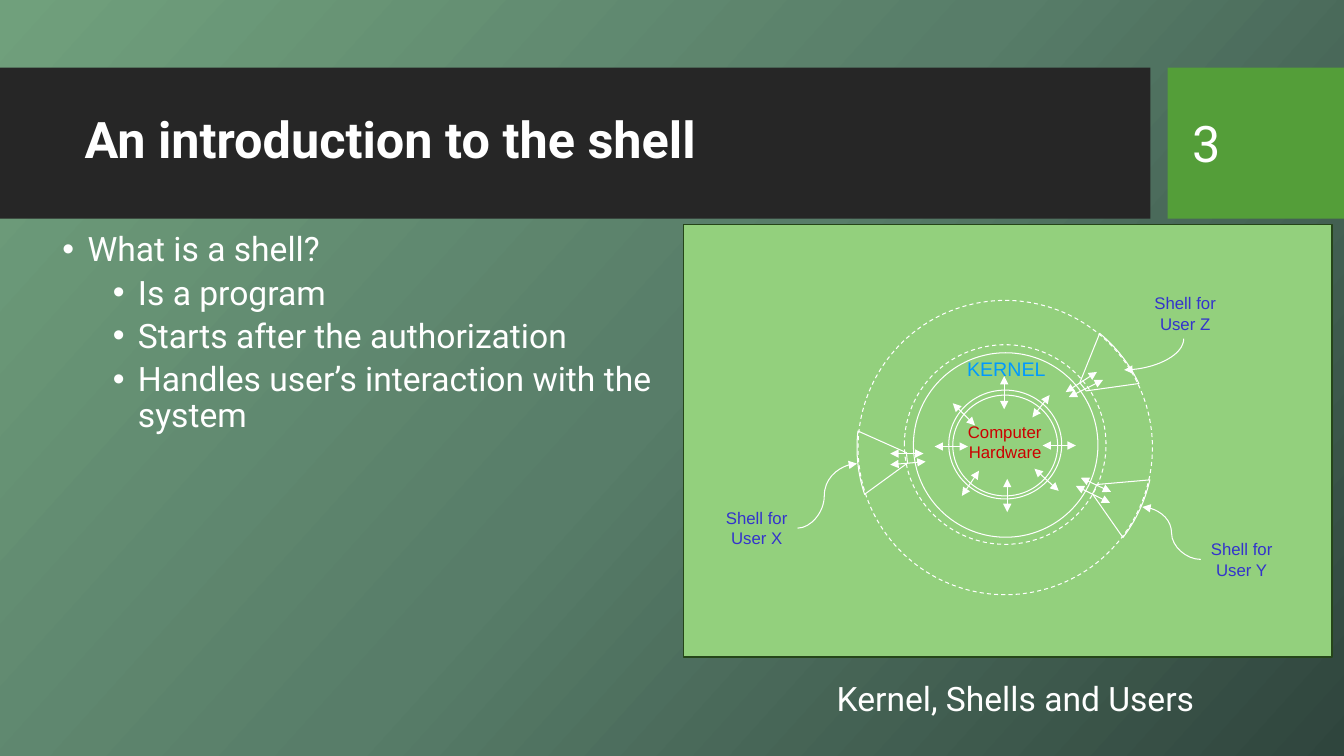
from copy import deepcopy
from dataclasses import dataclass
from math import cos, radians, sin

from lxml.etree import SubElement
from pptx import Presentation
from pptx.dml.color import RGBColor
from pptx.enum.dml import MSO_LINE
from pptx.enum.shapes import MSO_CONNECTOR as Link, MSO_SHAPE as Preset
from pptx.enum.text import MSO_ANCHOR as Anchor, MSO_AUTO_SIZE as AutoSize, PP_ALIGN as Align
from pptx.oxml.ns import qn
from pptx.util import Pt

PX = 9144  # EMU per px, 100 px to the inch


@dataclass(frozen=True)
class Theme:
    backdrop: tuple = ((0, "70A07C"), (0.5, "587D69"), (1, "2F453D"))
    backdrop_angle: int = 42
    band: str = "262626"
    accent: str = "549E39"
    panel: str = "93D07D"
    panel_edge: str = "254519"
    light: str = "FFFFFF"
    hardware: str = "CC0000"
    kernel: str = "0099FF"
    user: str = "3333CC"
    text_font: str = "Roboto"
    diagram_font: str = "Arial"
    title_size: int = 36
    body_size: int = 24
    kernel_size: int = 14
    label_size: int = 12
    thin: float = 0.75


THEME = Theme()
CENTRE = (997, 444)
SHELL_INNER, SHELL_OUTER = 98, 147

RINGS = (
    ((945, 392, 104, 100), False),
    ((941, 387, 112, 108), False),
    ((906, 350, 183, 183), False),
    ((897, 342, 200, 198), True),
    ((851, 298, 292, 292), True),
)
SHELL_ANGLES = (174, -38, 25)
EXCHANGES = (
    # kernel and hardware
    (971, 467, 954, 492), (1041, 392, 1024, 414),
    (945, 400, 967, 422), (1026, 465, 1050, 487),
    (996, 373, 996, 406), (927, 443, 960, 443),
    (1067, 442, 1034, 442), (999, 475, 999, 508),
    # shells and kernel
    (1094, 377, 1060, 394), (1102, 488, 1072, 474),
    (1088, 369, 1057, 389), (1101, 499, 1067, 482),
    (916, 450, 883, 450), (918, 458, 883, 461),
)
USERS = (("User Z", 1135, 286), ("User Y", 1191, 530), ("User X", 710, 499))
BULLETS = (
    ("What is a shell?", 25, 0),
    ("Is a program", 75, 5),
    ("Starts after the authorization", 75, 5),
    ("Handles user’s interaction with the system", 75, 5),
)


def emu(*lengths):
    return [round(length * PX) for length in lengths]


def rgb(colour):
    return RGBColor.from_string(colour)


def paint_backdrop(slide):
    fill = slide.background.fill
    fill.gradient()
    fill.gradient_angle = 360 - THEME.backdrop_angle
    stops = slide.element.find(".//" + qn("a:gsLst"))
    stops.insert(1, deepcopy(stops[0]))
    for stop, (position, colour) in zip(fill.gradient_stops, THEME.backdrop):
        stop.position = position
        stop.color.rgb = rgb(colour)


def outline(shape, colour=THEME.light, width=THEME.thin):
    shape.line.color.rgb = rgb(colour)
    shape.line.width = Pt(width)


def add_block(slide, box, colour):
    block = slide.shapes.add_shape(Preset.RECTANGLE, *emu(*box))
    block.shadow.inherit = False
    block.fill.solid()
    block.fill.fore_color.rgb = rgb(colour)
    block.line.fill.background()
    return block


def add_ring(slide, box, dashed):
    ring = slide.shapes.add_shape(Preset.OVAL, *emu(*box))
    ring.shadow.inherit = False
    ring.fill.background()
    outline(ring)
    if dashed:
        ring.line.dash_style = MSO_LINE.DASH


def add_shell(slide, angle):
    """Draw a ring sector around the kernel, centred on an angle in degrees."""
    def arc(radius, spread):
        turns = [radians(angle + spread * step / 8) for step in range(-8, 9)]
        return [emu(CENTRE[0] + radius * cos(turn), CENTRE[1] + radius * sin(turn))
                for turn in turns]

    start, *rest = arc(SHELL_OUTER, 12.4) + arc(SHELL_INNER, 3)[::-1]
    builder = slide.shapes.build_freeform(*start)
    builder.add_line_segments(rest, close=True)
    shell = builder.convert_to_shape()
    shell.shadow.inherit = False
    shell.fill.background()
    outline(shell)


def add_arrow(slide, ends, kind=Link.STRAIGHT, both=False):
    arrow = slide.shapes.add_connector(kind, *emu(*ends))
    outline(arrow)
    properties = arrow.element.spPr
    edge = properties.find(qn("a:ln"))
    for tip in ("a:headEnd", "a:tailEnd") if both else ("a:tailEnd",):
        SubElement(edge, qn(tip), type="triangle")
    SubElement(properties, qn("a:effectLst"))
    return arrow


def bend(arrow, share):
    """Move the middle of a curve to a share, in percent, of its width."""
    geometry = arrow.element.spPr.find(qn("a:prstGeom"))
    SubElement(geometry.find(qn("a:avLst")), qn("a:gd"),
               name="adj1", fmla=f"val {share * 1000}")


def add_run(paragraph, text, size, colour, font, bold=False):
    run = paragraph.add_run()
    run.text = text
    run.font.size = Pt(size)
    run.font.name = font
    run.font.bold = bold
    run.font.color.rgb = rgb(colour)


def add_text(slide, box, lines, size, colour=THEME.light, font=THEME.text_font,
             align=Align.LEFT, bold=False, fitted=False):
    frame = slide.shapes.add_textbox(*emu(*box)).text_frame
    frame.word_wrap = not fitted
    frame.auto_size = AutoSize.SHAPE_TO_FIT_TEXT if fitted else AutoSize.NONE
    frame.vertical_anchor = Anchor.TOP if fitted else Anchor.MIDDLE
    for index, line in enumerate(lines):
        paragraph = frame.add_paragraph() if index else frame.paragraphs[0]
        paragraph.alignment = align
        add_run(paragraph, line, size, colour, font, bold)
    return frame


def add_bullets(slide, box):
    frame = slide.shapes.add_textbox(*emu(*box)).text_frame
    frame.word_wrap = True
    for index, (text, indent, gap) in enumerate(BULLETS):
        paragraph = frame.add_paragraph() if index else frame.paragraphs[0]
        paragraph.line_spacing = 0.9
        paragraph.space_before = Pt(gap)
        properties = paragraph._p.get_or_add_pPr()
        properties.set("marL", str(indent * PX))
        properties.set("indent", str(-25 * PX))
        SubElement(properties, qn("a:buFont"), typeface=THEME.diagram_font)
        SubElement(properties, qn("a:buChar"), char="•")
        add_run(paragraph, text, THEME.body_size, THEME.light, THEME.text_font)


def add_user_links(slide):
    link_z = add_arrow(slide, (1129, 322, 1160, 381), Link.CURVE)
    link_z.element.spPr.find(qn("a:prstGeom")).set("prst", "curvedConnector2")
    link_z.element.spPr.find(qn("a:xfrm")).set("rot", str(90 * 60000))
    bend(add_arrow(slide, (1191, 555, 1133, 503), Link.CURVE), 50)
    bend(add_arrow(slide, (791, 524, 850, 460), Link.CURVE), 45)


def add_diagram(slide):
    for box, dashed in RINGS:
        add_ring(slide, box, dashed)
    for angle in SHELL_ANGLES:
        add_shell(slide, angle)
    for ends in EXCHANGES:
        add_arrow(slide, ends, both=True)
    add_text(slide, (950, 413, 93, 50), ("Computer", "Hardware"), THEME.label_size,
             THEME.hardware, THEME.diagram_font, Align.RIGHT, fitted=True)
    add_text(slide, (949, 349, 98, 33), ("KERNEL",), THEME.kernel_size,
             THEME.kernel, THEME.diagram_font, Align.RIGHT, fitted=True)
    for user, left, top in USERS:
        add_text(slide, (left, top, 81, 50), ("Shell for", user), THEME.label_size,
                 THEME.user, THEME.diagram_font, Align.CENTER, fitted=True)
    add_user_links(slide)


def main():
    deck = Presentation()
    deck.slide_width, deck.slide_height = emu(1333, 750)
    slide = deck.slides.add_slide(deck.slide_layouts[6])
    paint_backdrop(slide)
    add_block(slide, (0, 67, 1141, 150), THEME.band)
    add_block(slide, (1158, 67, 175, 150), THEME.accent)
    outline(add_block(slide, (678, 223, 643, 429), THEME.panel), THEME.panel_edge, 1)
    title = add_text(slide, (74, 82, 1051, 118), ("An introduction to the shell",),
                     THEME.title_size, bold=True)
    title.paragraphs[0].line_spacing = 0.9
    add_bullets(slide, (52, 226, 615, 394))
    add_text(slide, (1173, 82, 126, 119), ("3",), THEME.title_size)
    add_diagram(slide)
    add_text(slide, (820, 668, 382, 50), ("Kernel, Shells and Users",),
             THEME.body_size, fitted=True)
    deck.save("out.pptx")


if __name__ == "__main__":
    main()
